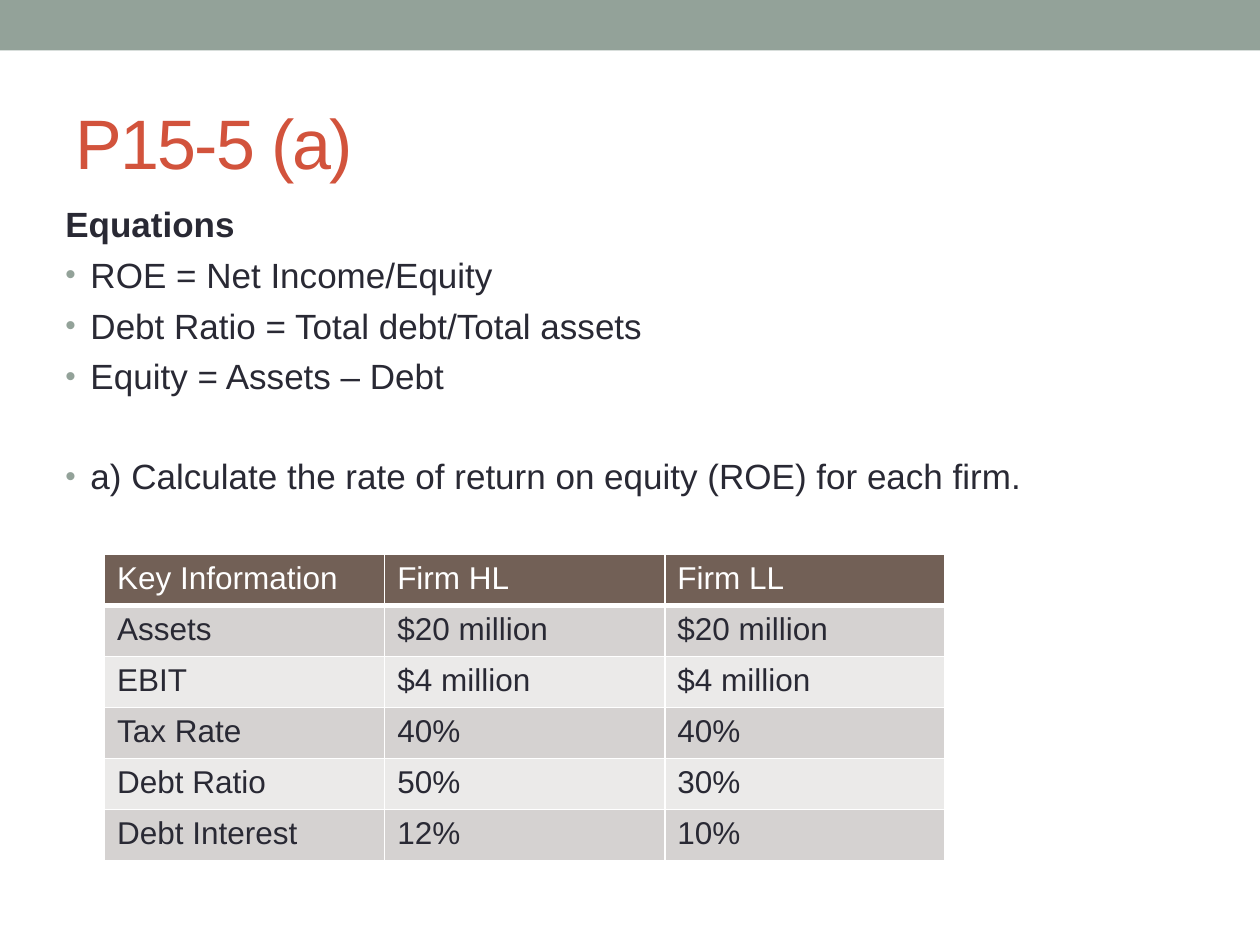
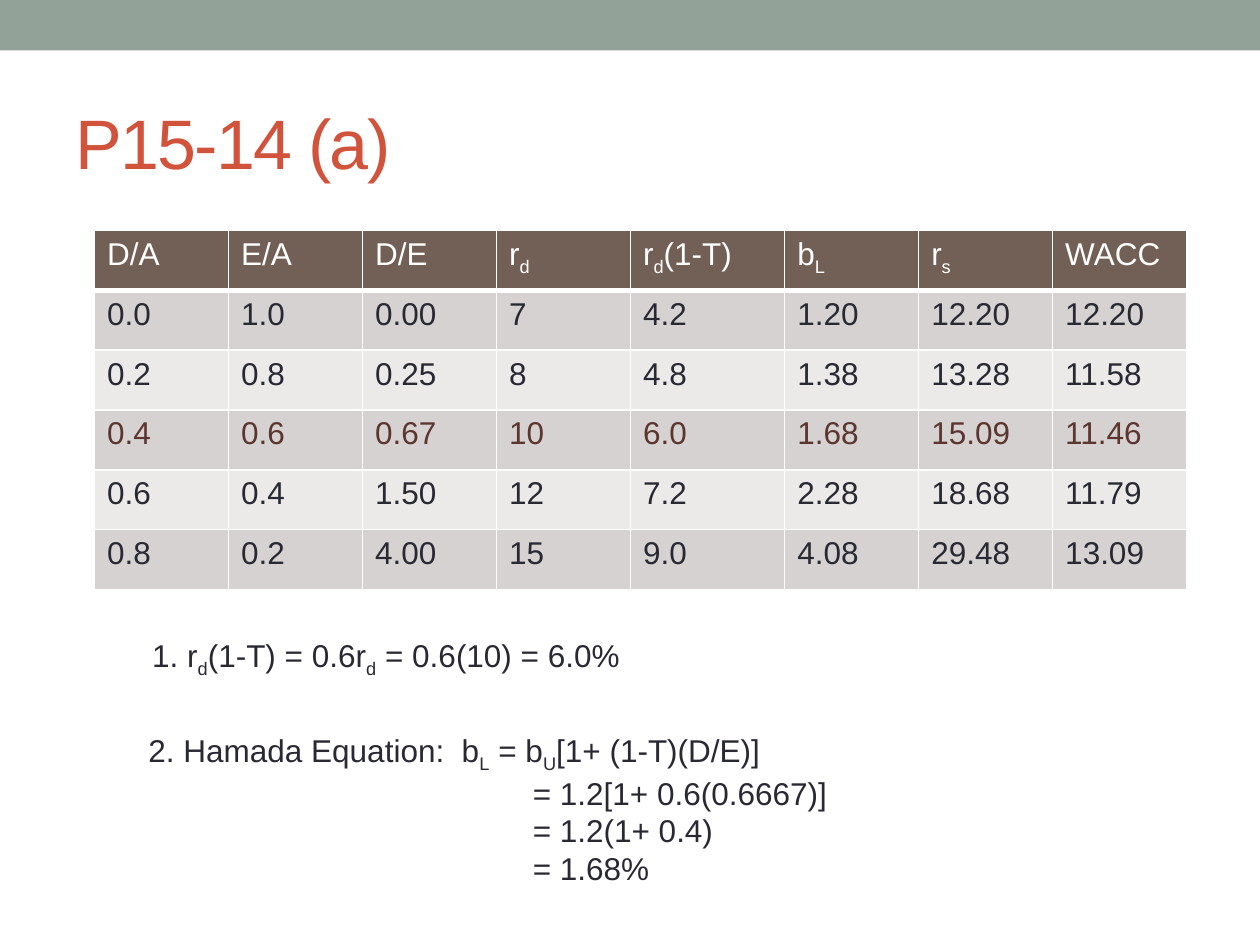
from lxml import etree
from pptx import Presentation
from pptx.dml.color import RGBColor
from pptx.enum import shapes, text
from pptx.oxml import ns
from pptx.util import Inches, Pt

FONT = "Arial"
SAGE, RUST, INK, WHITE = "93A299", "D2533C", "292934", "FFFFFF"
HEADER, STRIPES, HIGHLIGHT = "726056", ("D5D2D1", "EBEAE9"), "5B352E"
TITLE_ONLY = 5

EQUATIONS = [
    "ROE = Net Income/Equity",
    "Debt Ratio = Total debt/Total assets",
    "Equity = Assets – Debt",
]
QUESTION = "a) Calculate the rate of return on equity (ROE) for each firm."
FIRMS = [
    ["Key Information", "Firm HL", "Firm LL"],
    ["Assets", "$20 million", "$20 million"],
    ["EBIT", "$4 million", "$4 million"],
    ["Tax Rate", "40%", "40%"],
    ["Debt Ratio", "50%", "30%"],
    ["Debt Interest", "12%", "10%"],
]
CAPITAL_COSTS = [
    ["D/A", "E/A", "D/E", "r_d", "r_d(1-T)", "b_L", "r_s", "WACC"],
    ["0.0", "1.0", "0.00", "7", "4.2", "1.20", "12.20", "12.20"],
    ["0.2", "0.8", "0.25", "8", "4.8", "1.38", "13.28", "11.58"],
    ["0.4", "0.6", "0.67", "10", "6.0", "1.68", "15.09", "11.46"],
    ["0.6", "0.4", "1.50", "12", "7.2", "2.28", "18.68", "11.79"],
    ["0.8", "0.2", "4.00", "15", "9.0", "4.08", "29.48", "13.09"],
]
OPTIMAL_ROW = 3
HAMADA = "2. Hamada Equation:  b_L = b_U[1+ (1-T)(D/E)]"
HAMADA_STEPS = ["= 1.2[1+ 0.6(0.6667)]", "= 1.2(1+ 0.4)", "= 1.68%"]


def rgb(value):
    return RGBColor.from_string(value)


def inches(box):
    return [Inches(length) for length in box]


def child(parent, tag, **attributes):
    return etree.SubElement(parent, ns.qn(tag), attributes)


def write(para, words, size=18, color=INK, bold=False, spacing=None, before=0):
    """Fill a paragraph; the letter after each underscore is a subscript."""
    para.alignment = text.PP_ALIGN.LEFT
    para.space_before = Pt(before)
    plain, *rest = words.split("_")
    pieces = [(plain, False)]
    for piece in rest:
        pieces += [(piece[0], True), (piece[1:], False)]
    for piece, lowered in pieces:
        if not piece:
            continue
        span = para.add_run()
        span.text = piece
        span.font.name, span.font.size, span.font.bold = FONT, Pt(size), bold
        span.font.color.rgb = rgb(color)
        properties = span.font._element
        if lowered:
            properties.set("baseline", "-25000")
        if spacing is not None:
            properties.set("spc", str(spacing * 100))


def indent(para, left, hanging=0):
    properties = para._p.get_or_add_pPr()
    properties.set("marL", str(Inches(left)))
    properties.set("indent", str(-Inches(hanging)))
    return properties


def add_bullet(para):
    properties = indent(para, 0.2, hanging=0.2)
    child(child(properties, "a:buClr"), "a:srgbClr", val=SAGE)
    child(properties, "a:buSzPct", val="85000")
    child(properties, "a:buFont", typeface=FONT)
    child(properties, "a:buChar", char="•")


def add_text_box(page, box):
    frame = page.shapes.add_textbox(*inches(box)).text_frame
    frame.word_wrap = True
    return frame


def add_page(deck, title):
    """Add a slide with the top band and its title."""
    page = deck.slides.add_slide(deck.slide_layouts[TITLE_ONLY])
    band = page.shapes.add_shape(
        shapes.MSO_SHAPE.RECTANGLE, 0, 0, deck.slide_width, Inches(0.4))
    band.shadow.inherit = False
    band.fill.solid()
    band.fill.fore_color.rgb = rgb(SAGE)
    band.line.fill.background()

    heading = page.shapes.title
    heading.left, heading.top, heading.width, heading.height = inches(
        (0.5, 0.58, 9, 1.08))
    frame = heading.text_frame
    frame.auto_size = text.MSO_AUTO_SIZE.NONE
    frame.vertical_anchor = text.MSO_ANCHOR.MIDDLE
    write(frame.paragraphs[0], title, size=40, color=RUST, spacing=-1)
    return page


def add_borders(cell, bottom):
    properties = cell._tc.get_or_add_tcPr()
    for side, width in (("L", 1), ("R", 1), ("T", 1), ("B", bottom)):
        line = child(properties, f"a:ln{side}", w=str(Pt(width)))
        child(child(line, "a:solidFill"), "a:srgbClr", val=WHITE)


def add_striped_table(page, box, rows, shares, highlight=None):
    """Draw rows under a dark header; shares are relative column widths."""
    left, top, width, height = inches(box)
    table = page.shapes.add_table(
        len(rows), len(shares), left, top, width, height).table
    for column, share in zip(table.columns, shares):
        column.width = int(width * share / sum(shares))
    for i, values in enumerate(rows):
        table.rows[i].height = int(height / len(rows))
        fill = STRIPES[(i - 1) % 2] if i else HEADER
        color = HIGHLIGHT if i == highlight else INK if i else WHITE
        for j, value in enumerate(values):
            cell = table.cell(i, j)
            add_borders(cell, bottom=1 if i else 3)
            cell.fill.solid()
            cell.fill.fore_color.rgb = rgb(fill)
            write(cell.text_frame.paragraphs[0], value, color=color)


def add_equations(page, box):
    frame = add_text_box(page, box)
    write(frame.paragraphs[0], "Equations", size=20, bold=True, before=5)
    for words in EQUATIONS + [QUESTION]:
        para = frame.add_paragraph()
        write(para, words, size=20, before=33 if words == QUESTION else 5)
        add_bullet(para)


def add_hamada(page, box):
    frame = add_text_box(page, box)
    write(frame.paragraphs[0], HAMADA)
    for step in HAMADA_STEPS:
        para = frame.add_paragraph()
        write(para, step)
        indent(para, 3.05)


def add_roe_page(deck):
    page = add_page(deck, "P15-5 (a)")
    add_equations(page, (0.42, 1.56, 9, 2.86))
    add_striped_table(page, (0.83, 4.4, 6.67, 2.43), FIRMS, [1, 1, 1])


def add_wacc_page(deck):
    page = add_page(deck, "P15-14 (a)")
    add_striped_table(page, (0.75, 1.83, 8.67, 2.85), CAPITAL_COSTS,
                      [1.06] * 4 + [1.22] + [1.06] * 3, OPTIMAL_ROW)
    after_tax = add_text_box(page, (1.11, 5, 4, 0.4))
    write(after_tax.paragraphs[0], "1. r_d(1-T) = 0.6r_d = 0.6(10) = 6.0%")
    add_hamada(page, (1.08, 5.75, 5.79, 1.31))


def main():
    deck = Presentation()
    deck.slide_width, deck.slide_height = inches((10, 7.5))
    add_roe_page(deck)
    add_wacc_page(deck)
    deck.save("out.pptx")


if __name__ == "__main__":
    main()
